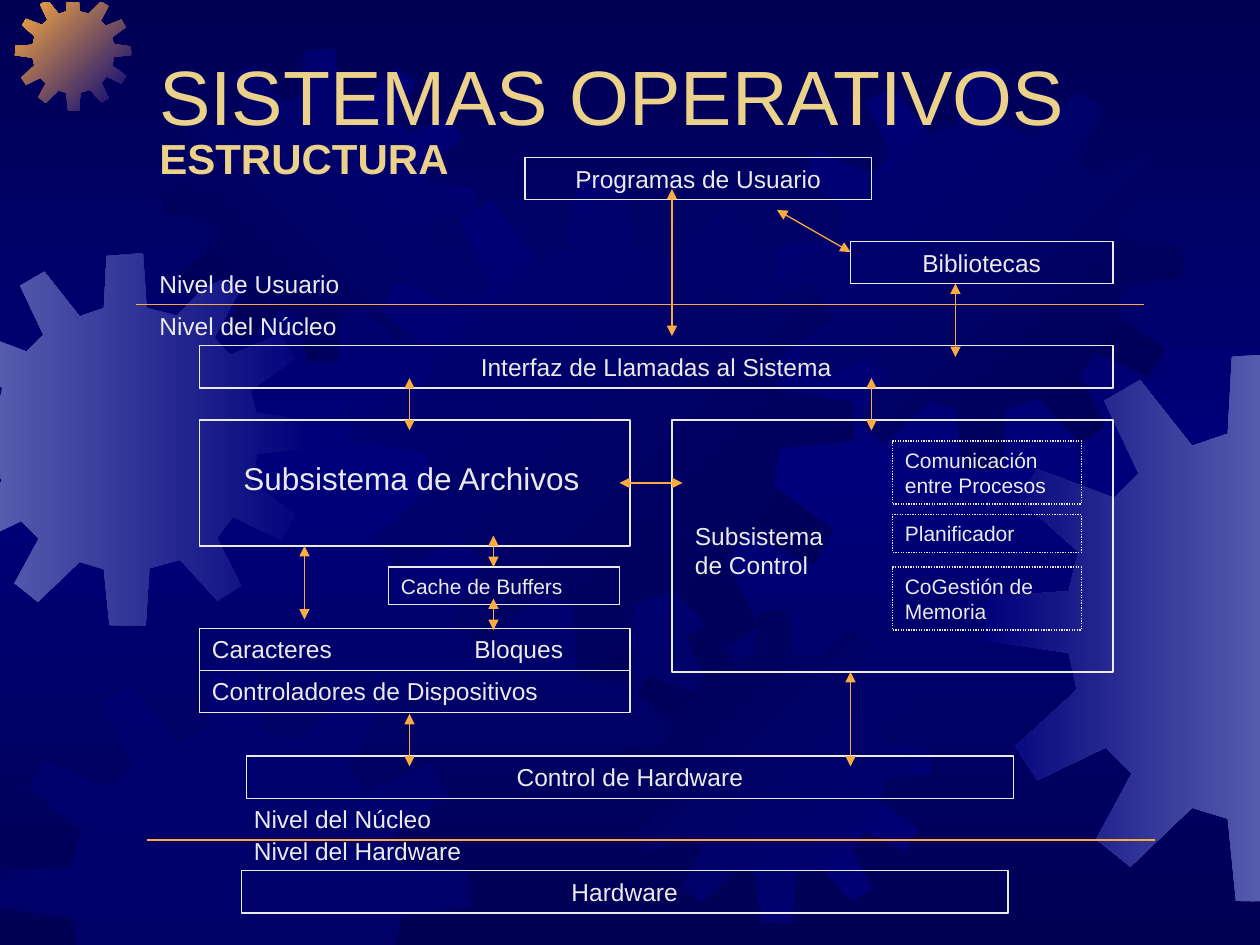
"""Build the slide on the structure of operating systems."""
from copy import deepcopy

from lxml.etree import SubElement
from pptx import Presentation
from pptx.dml.color import RGBColor
from pptx.enum.dml import MSO_LINE
from pptx.enum.shapes import MSO_CONNECTOR, MSO_SHAPE
from pptx.enum.text import MSO_ANCHOR, PP_ALIGN
from pptx.oxml.ns import qn
from pptx.util import Pt

NIGHT, NAVY, MIST = "000054", "00007A", "555BAD"
GOLD, SAND, PALE = "FCAB40", "EBD189", "EAEAEA"
LEFT, MID = PP_ALIGN.LEFT, PP_ALIGN.CENTER
ROW = 24.2
BOUNDS = ((-0.7, 720.7), (1.4, 542.9))

SPAN = 401
TEETH = [
    (255, 67), (223, 59), (219, 0), (180, 3), (177, 59), (151, 68),
    (113, 20), (87, 35), (112, 88), (94, 106), (38, 85), (25, 107),
    (68, 145), (61, 174), (1, 178), (0, 210), (61, 219), (67, 246),
    (22, 287), (38, 312), (88, 288), (107, 307), (81, 355), (106, 375),
    (151, 332), (177, 340), (183, 400), (222, 401), (226, 339), (259, 330),
    (299, 374), (325, 358), (299, 306), (316, 284), (368, 309), (384, 281),
    (336, 246), (342, 216), (401, 210), (400, 180), (341, 171), (335, 148),
    (383, 114), (367, 87), (313, 109), (296, 91), (323, 41), (297, 25),
]
GEARS = [
    (-34.6, 144.7, 213, (NAVY, MIST), 180),
    (8.6, -3.2, 66.4, (NAVY, GOLD), 225),
    (93.6, 28.1, 178.6, (NAVY, NIGHT), 135),
    (199.4, 100.1, 289, (NIGHT, NAVY), 225),
    (0, 378, 269.3, (NAVY,), None),
    (353.5, 348.5, 178.6, (NAVY, NIGHT), 225),
    (445, 38.2, 230.4, (NIGHT, NAVY), 225),
    (563, 201.6, 314, (MIST, NAVY), 180),
]
HEADS = [
    ("SISTEMAS OPERATIVOS", 84, 36, 612, 48, 44, False),
    ("ESTRUCTURA", 84, 66, 612, 42, 24, True),
]
NOTES = [
    ("Nivel del Hardware", 138, 474, 438, ROW, 14),
    ("Nivel del Núcleo", 138, 456, 438, ROW, 14),
    ("Subsistema de Archivos", 132, 259, 216, 29, 18),
    ("Subsistema de Control", 390, 294, 90, 41, 14),
    ("Nivel del Núcleo", 84, 174, 438, ROW, 14),
    ("Nivel de Usuario", 84, 150, 438, ROW, 14),
]
BOXES = [
    ("Hardware", 138, 497.5, 438, ROW, 14, MID),
    ("Control de Hardware", 141, 432, 438, ROW, 14, MID),
    ("Caracteres\tBloques", 114, 359, 246, ROW, 14, LEFT),
    ("Controladores de Dispositivos", 114, 383, 246, ROW, 14, LEFT),
    ("", 114, 240, 246, 72, 14, LEFT),
    ("Cache de Buffers", 222, 324, 132, 21.6, 12, LEFT),
    ("", 384, 240, 252, 144, 14, LEFT),
    ("Interfaz de Llamadas al Sistema", 114, 197.5, 522, ROW, 14, MID),
    ("Programas de Usuario", 300, 90, 198, ROW, 14, MID),
    ("Bibliotecas", 486, 138, 150, ROW, 14, MID),
]
PARTS = [
    ("Comunicación entre Procesos", 510, 252, 108, 36, 12, LEFT),
    ("Planificador", 510, 294, 108, 21.6, 12, LEFT),
    ("CoGestión de Memoria", 510, 324, 108, 36, 12, LEFT),
]
RULES = [(84, 480, 660, 480), (78, 174, 654, 174)]
ARROWS = [
    (234, 438, 234, 408), (174, 354, 174, 312), (282, 360, 282, 342),
    (282, 324, 282, 306), (486, 438, 486, 384), (354, 276, 390, 276),
    (234, 246, 234, 216), (498, 246, 498, 216), (384, 192, 384, 108),
    (546, 204, 546, 162), (444, 120, 486, 144),
]
FRAME = {
    "word_wrap": True, "margin_left": Pt(7.2), "margin_right": Pt(7.2),
    "margin_top": Pt(3.6), "margin_bottom": Pt(3.6),
}


def tint(code):
    return RGBColor.from_string(code)


def apply(thing, values):
    for name, value in values.items():
        setattr(thing, name, value)


def blend(fill, codes, angle):
    fill.gradient()
    fill.gradient_angle = (360 - angle) % 360
    for stop, code in zip(fill.gradient_stops, codes):
        stop.color.rgb = tint(code)


def clip(points, axis, edge, sign):
    kept = []
    for one, two in zip(points, points[1:] + points[:1]):
        near, far = (sign * (p[axis] - edge) for p in (one, two))
        if near >= 0:
            kept.append(one)
        if near * far < 0:
            part = near / (near - far)
            kept.append(tuple(a + part * (b - a) for a, b in zip(one, two)))
    return kept


def add_gear(shapes, left, top, size, codes, angle):
    points = [(left + x * size / SPAN, top + y * size / SPAN) for x, y in TEETH]
    for axis, (low, high) in enumerate(BOUNDS):
        points = clip(clip(points, axis, low, 1), axis, high, -1)
    dots = [(Pt(x), Pt(y)) for x, y in points]
    pen = shapes.build_freeform(*dots[0], scale=1.0)
    pen.add_line_segments(dots[1:], close=True)
    gear = pen.convert_to_shape()
    gear.shadow.inherit = False
    gear.line.fill.background()
    if angle is None:
        gear.fill.solid()
        gear.fill.fore_color.rgb = tint(codes[0])
        color = gear.element.spPr.find(".//" + qn("a:srgbClr"))
        SubElement(color, qn("a:alpha"), val="50000")
    else:
        blend(gear.fill, codes, angle)


def put_text(shape, text, size, align=LEFT, code=PALE, bold=False, anchor=MSO_ANCHOR.TOP):
    frame = shape.text_frame
    apply(frame, {**FRAME, "vertical_anchor": anchor})
    para = frame.paragraphs[0]
    para.alignment = align
    if "\t" in text:
        tabs = SubElement(para._p.get_or_add_pPr(), qn("a:tabLst"))
        SubElement(tabs, qn("a:tab"), pos=str(Pt(150)), algn="l")
    run = para.add_run()
    run.text = text
    apply(run.font, {"name": "Arial", "size": Pt(size), "bold": bold})
    run.font.color.rgb = tint(code)


def add_note(shapes, text, x, y, w, h, size, **style):
    put_text(shapes.add_textbox(Pt(x), Pt(y), Pt(w), Pt(h)), text, size, **style)


def add_box(shapes, text, x, y, w, h, size, align, dash=None):
    box = shapes.add_shape(MSO_SHAPE.RECTANGLE, Pt(x), Pt(y), Pt(w), Pt(h))
    box.shadow.inherit = False
    box.fill.background()
    box.line.color.rgb = tint(PALE)
    apply(box.line, {"width": Pt(0.75), "dash_style": dash})
    if text:
        put_text(box, text, size, align)


def add_line(shapes, ends, heads):
    line = shapes.add_connector(MSO_CONNECTOR.STRAIGHT, *map(Pt, ends))
    line.line.color.rgb = tint(GOLD)
    line.line.width = Pt(0.75)
    for name in heads:
        SubElement(line.line._get_or_add_ln(), qn(name), type="triangle")
    SubElement(line.element.spPr, qn("a:effectLst"))


def main():
    deck = Presentation()
    apply(deck, {"slide_width": Pt(720), "slide_height": Pt(540)})
    slide = deck.slides.add_slide(deck.slide_layouts[6])
    shapes = slide.shapes

    ground = slide.background.fill
    blend(ground, (NIGHT, NIGHT), 90)
    stops = slide.element.find(".//" + qn("a:gsLst"))
    stops.insert(1, deepcopy(stops[0]))
    stops[1].set("pos", "50000")
    ground.gradient_stops[1].color.rgb = tint(NAVY)

    for gear in GEARS:
        add_gear(shapes, *gear)
    for *place, bold in HEADS:
        add_note(shapes, *place, code=SAND, bold=bold, anchor=MSO_ANCHOR.BOTTOM)
    for note in NOTES:
        add_note(shapes, *note)
    for box in BOXES:
        add_box(shapes, *box)
    for part in PARTS:
        add_box(shapes, *part, dash=MSO_LINE.ROUND_DOT)
    for ends in RULES:
        add_line(shapes, ends, ())
    for ends in ARROWS:
        add_line(shapes, ends, ("a:headEnd", "a:tailEnd"))
    deck.save("out.pptx")


if __name__ == "__main__":
    main()
